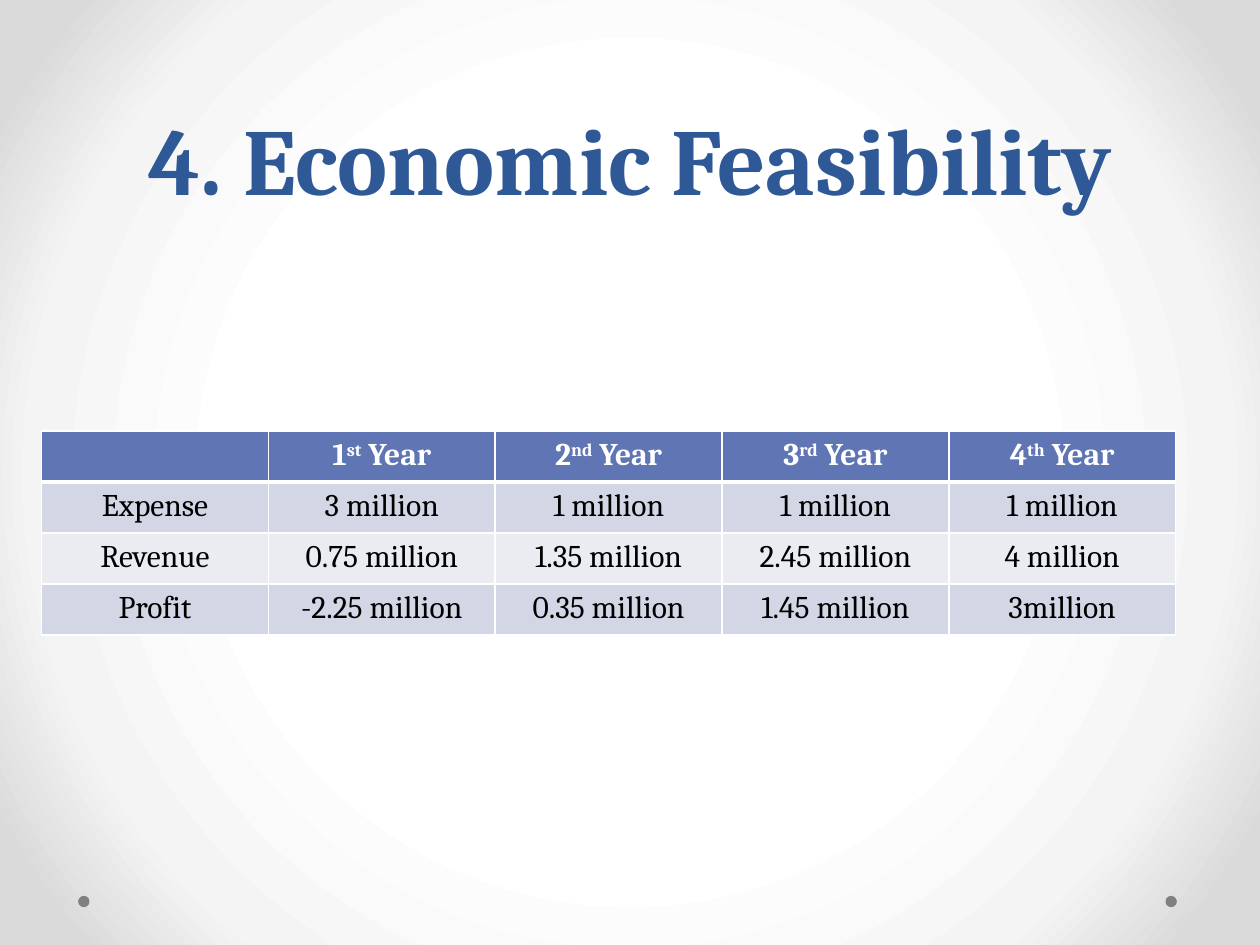
from dataclasses import dataclass

from lxml.etree import SubElement
from pptx import Presentation
from pptx.dml.color import RGBColor
from pptx.enum.shapes import MSO_SHAPE
from pptx.enum.text import MSO_ANCHOR, PP_ALIGN
from pptx.oxml import parse_xml
from pptx.oxml.ns import qn
from pptx.slide import Slide
from pptx.table import _Cell
from pptx.text.text import _Paragraph
from pptx.util import Inches, Pt

FONT = "Cambria"
WHITE = "FFFFFF"
HEADER_FILL = "6076B4"
BAND_FILLS = ("D2D6E5", "EAECF2")
BACKDROP_STOPS = ((50, "FFFFFF"), (76, "F4F4F4"), (92, "DADADA"))
DOT_LEFTS = (0.62, 9.25)


@dataclass(frozen=True)
class YearHeading:
    number: str
    ordinal: str


@dataclass(frozen=True)
class BudgetLine:
    label: str
    amounts: tuple[str, ...]


YEARS = (
    YearHeading("1", "st"),
    YearHeading("2", "nd"),
    YearHeading("3", "rd"),
    YearHeading("4", "th"),
)
BUDGET = (
    BudgetLine("Expense", ("3 million", "1 million", "1 million", "1 million")),
    BudgetLine("Revenue", ("0.75 million", "1.35 million", "2.45 million", "4 million")),
    BudgetLine("Profit", ("-2.25 million", "0.35 million", "1.45 million", "3million")),
)


def rgb(value: str) -> RGBColor:
    """Turn a hex string into a colour."""
    return RGBColor.from_string(value)


def style(paragraph: _Paragraph, size: float, color: str, bold: bool) -> None:
    """Centre a paragraph and set its font."""
    paragraph.alignment = PP_ALIGN.CENTER
    font = paragraph.font
    font.name, font.size, font.bold = FONT, Pt(size), bold
    font.color.rgb = rgb(color)


def paint_backdrop(slide: Slide) -> None:
    """Give the slide a circular gradient from its centre."""
    slide.background.fill.solid()
    solid = slide.element.xpath(".//p:bgPr/a:solidFill")[0]
    stops = "".join(
        f'<a:gs pos="{position * 1000}"><a:srgbClr val="{color}"/></a:gs>'
        for position, color in BACKDROP_STOPS
    )
    gradient = parse_xml(
        '<a:gradFill xmlns:a="http://schemas.openxmlformats.org/drawingml/2006/main"'
        f' rotWithShape="1"><a:gsLst>{stops}</a:gsLst><a:path path="circle">'
        '<a:fillToRect l="50000" t="50000" r="50000" b="50000"/></a:path></a:gradFill>'
    )
    solid.getparent().replace(solid, gradient)


def add_dot(slide: Slide, left: float) -> None:
    """Draw a small grey footer dot."""
    dot = slide.shapes.add_shape(
        MSO_SHAPE.OVAL, Inches(left), Inches(7.11), Inches(0.09), Inches(0.09)
    )
    dot.shadow.inherit = False
    dot.fill.solid()
    dot.fill.fore_color.rgb = rgb("808080")
    dot.line.fill.background()


def add_title(slide: Slide, wording: str) -> None:
    """Write the slide title."""
    title = slide.shapes.add_textbox(Inches(0.5), Inches(0), Inches(9), Inches(1.75))
    frame = title.text_frame
    frame.word_wrap = True
    frame.vertical_anchor = MSO_ANCHOR.BOTTOM
    paragraph = frame.paragraphs[0]
    paragraph.text = wording
    paragraph.line_spacing = Pt(58)
    style(paragraph, 54, "2F5897", True)


def format_cell(cell: _Cell, fill: str, top: float, bottom: float) -> None:
    """Set white borders and a solid fill on a cell."""
    properties = cell._tc.get_or_add_tcPr()
    for side, width in (("L", 1), ("R", 1), ("T", top), ("B", bottom)):
        border = SubElement(properties, qn(f"a:ln{side}"), w=str(Pt(width)))
        SubElement(SubElement(border, qn("a:solidFill")), qn("a:srgbClr"), val=WHITE)
    cell.fill.solid()
    cell.fill.fore_color.rgb = rgb(fill)


def write_year(paragraph: _Paragraph, year: YearHeading) -> None:
    """Write a year heading with a raised ordinal."""
    paragraph.add_run().text = year.number
    ordinal = paragraph.add_run()
    ordinal.text = year.ordinal
    ordinal.font._element.set("baseline", "30000")
    paragraph.add_run().text = " Year"
    style(paragraph, 18, WHITE, True)


def add_budget_table(slide: Slide) -> None:
    """Build the table of yearly amounts."""
    table = slide.shapes.add_table(
        len(BUDGET) + 1, len(YEARS) + 1,
        Inches(0.33), Inches(3.42), Inches(9), Inches(1.62),
    ).table
    for column in range(len(YEARS) + 1):
        format_cell(table.cell(0, column), HEADER_FILL, 1, 3)
    for column, year in enumerate(YEARS, 1):
        write_year(table.cell(0, column).text_frame.paragraphs[0], year)
    for row, line in enumerate(BUDGET, 1):
        fill = BAND_FILLS[(row - 1) % 2]
        for column, wording in enumerate((line.label, *line.amounts)):
            cell = table.cell(row, column)
            format_cell(cell, fill, 3 if row == 1 else 1, 1)
            paragraph = cell.text_frame.paragraphs[0]
            paragraph.text = wording
            style(paragraph, 18, "000000", False)


def main() -> None:
    """Build and save the slide."""
    presentation = Presentation()
    presentation.slide_width, presentation.slide_height = Inches(10), Inches(7.5)
    slide = presentation.slides.add_slide(presentation.slide_layouts[6])
    paint_backdrop(slide)
    for left in DOT_LEFTS:
        add_dot(slide, left)
    add_title(slide, "4. Economic Feasibility")
    add_budget_table(slide)
    presentation.save("out.pptx")


if __name__ == "__main__":
    main()
